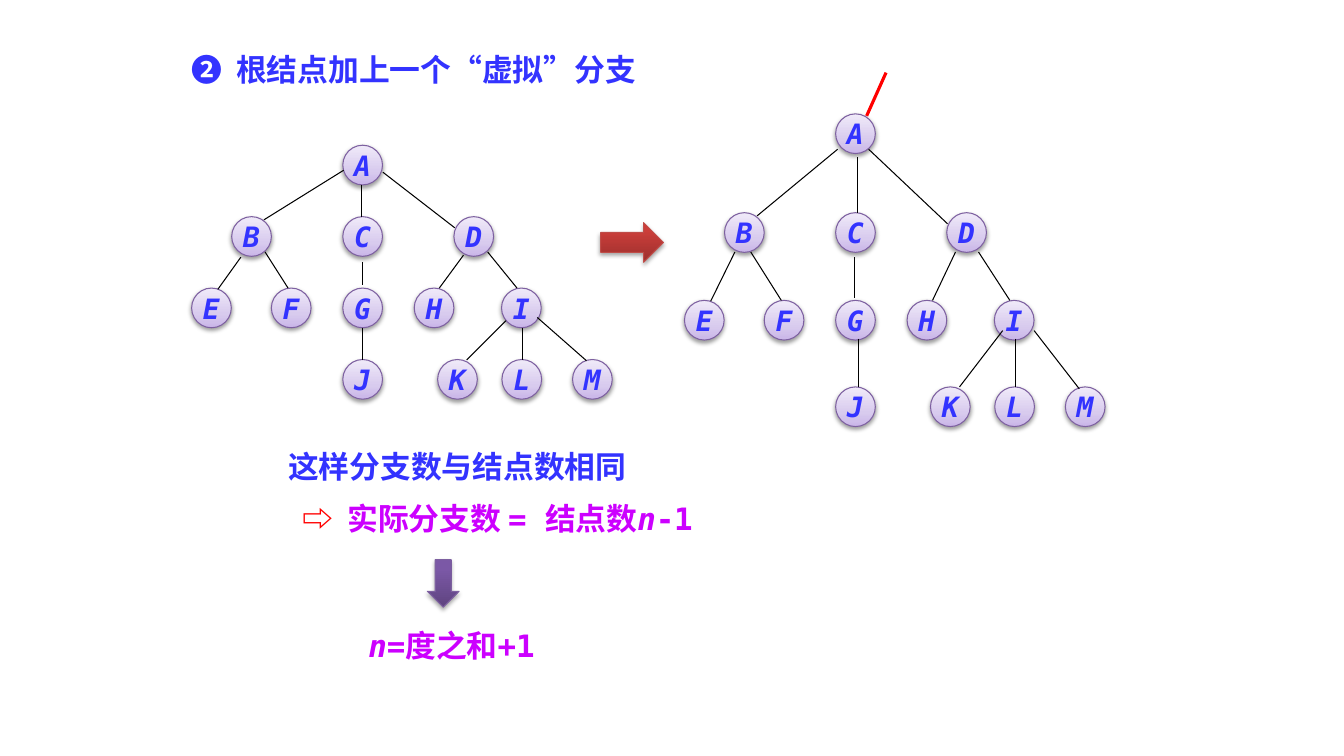
from dataclasses import dataclass

from pptx import Presentation
from pptx.dml.color import RGBColor
from pptx.enum.shapes import MSO_CONNECTOR, MSO_SHAPE
from pptx.enum.text import MSO_ANCHOR, MSO_AUTO_SIZE, PP_ALIGN
from pptx.oxml import parse_xml
from pptx.oxml.ns import nsdecls, qn
from pptx.oxml.xmlchemy import OxmlElement
from pptx.util import Cm, Pt


@dataclass(frozen=True)
class Theme:
    font: str = "DejaVu Sans Mono"
    text_size: int = 22
    node_size: int = 20
    blue: str = "3333FF"
    magenta: str = "CC00FF"
    red: str = "FF0000"
    black: str = "000000"
    purple_line: str = "7D60A0"
    red_line: str = "BF4C48"
    node_fill: tuple = ((0, "C9B5E8"), (35, "D8CBEE"), (100, "F0EAF9"))
    purple_fill: tuple = ((0, "5F4480"), (80, "7B58A6"), (100, "7C57A8"))
    red_fill: tuple = ((0, "9C2F2D"), (80, "CB3E3A"), (100, "CE3B37"))


THEME = Theme()
NODE = 1.0  # node diameter in cm

# Each node: level in the tree, horizontal offset from the root in cm
NODES = {
    "A": (0, 0), "B": (1, -2.8), "C": (1, 0), "D": (1, 2.8),
    "E": (2, -3.81), "F": (2, -1.8), "G": (2, 0), "J": (3, 0),
    "H": (2, 1.8), "I": (2, 4), "K": (3, 2.39), "L": (3, 4.01), "M": (3, 5.79),
}

# Branch ends in cm: from x, from y, to x, to y
PLAIN_BRANCHES = [
    (6.07, 6.48, 5.49, 7.29), (6.68, 6.35, 7.26, 7.26),
    (8.66, 4.29, 6.65, 5.54), (9.12, 4.67, 9.12, 5.46), (9.65, 4.34, 11.46, 5.74),
    (9.14, 6.6, 9.14, 7.19), (9.14, 8.26, 9.14, 9.07),
    (11.68, 6.43, 11.07, 7.26), (12.29, 6.35, 13.03, 7.26),
    (12.75, 8.08, 11.76, 9.07), (13.16, 8.26, 13.16, 9.07), (13.54, 8, 14.78, 9.09),
]
ROOTED_BRANCHES = [
    (18.52, 6.35, 17.91, 7.59), (18.92, 6.35, 19.69, 7.57),
    (21.11, 3.76, 19.08, 5.44), (21.62, 3.96, 21.62, 5.36), (21.89, 3.76, 23.88, 5.64),
    (21.54, 6.48, 21.54, 7.52), (21.64, 8.53, 21.64, 9.75),
    (24.08, 6.35, 23.5, 7.57), (24.66, 6.35, 25.45, 7.57),
    (25.27, 8.33, 24.18, 9.75), (25.6, 8.53, 25.6, 9.75), (26.06, 8.33, 27.2, 9.8),
]
VIRTUAL_BRANCH = (22.33, 1.83, 21.84, 2.92)


def add_span(para, text, color=THEME.blue, size=THEME.text_size, italic=False):
    span = para.add_run()
    span.text = text
    span.font.name = THEME.font
    span.font.size = Pt(size)
    span.font.bold = True
    span.font.italic = italic
    span.font.color.rgb = RGBColor.from_string(color)


def set_indent(para, left=0, first=0):
    """Set the hanging indent in cm and switch the bullet off."""
    properties = para._p.get_or_add_pPr()
    properties.set("marL", str(Cm(left)))
    properties.set("indent", str(Cm(first)))
    properties.append(OxmlElement("a:buNone"))


class SlideBuilder:
    def __init__(self, slide, theme):
        self.slide = slide
        self.theme = theme

    def text_box(self, box, left, top, width, height):
        """Place a placeholder or text box and return its first paragraph."""
        box.left, box.top, box.width, box.height = map(Cm, (left, top, width, height))
        frame = box.text_frame
        frame.word_wrap = True
        frame.auto_size = MSO_AUTO_SIZE.SHAPE_TO_FIT_TEXT
        frame.vertical_anchor = MSO_ANCHOR.TOP
        para = frame.paragraphs[0]
        para.alignment = PP_ALIGN.LEFT
        return para

    def shape(self, shapes, kind, left, top, width, height, stops, line, opacity):
        """Add a preset shape with a vertical gradient and a soft shadow."""
        shape = shapes.add_shape(kind, Cm(left), Cm(top), Cm(width), Cm(height))
        shape.fill.gradient()
        shape.fill.gradient_angle = 90
        stop_list = shape.element.spPr.find(".//" + qn("a:gsLst"))
        stop_list.clear()
        for position, color in stops:
            stop_list.append(parse_xml(
                f'<a:gs {nsdecls("a")} pos="{position * 1000}">'
                f'<a:srgbClr val="{color}"/></a:gs>'))
        shape.line.color.rgb = RGBColor.from_string(line)
        shape.line.width = Pt(0.75)
        shape.shadow.inherit = False
        shape.element.spPr.find(qn("a:effectLst")).append(parse_xml(
            f'<a:outerShdw {nsdecls("a")} blurRad="{Pt(3.1)}" dist="{Pt(1.7)}" '
            f'dir="5400000" rotWithShape="0"><a:srgbClr val="{self.theme.black}">'
            f'<a:alpha val="{opacity * 1000}"/></a:srgbClr></a:outerShdw>'))
        return shape

    def node(self, shapes, letter, left, top):
        node = self.shape(shapes, MSO_SHAPE.OVAL, left, top, NODE, NODE,
                          self.theme.node_fill, self.theme.purple_line, 38)
        frame = node.text_frame
        frame.word_wrap = False
        frame.vertical_anchor = MSO_ANCHOR.MIDDLE
        para = frame.paragraphs[0]
        para.alignment = PP_ALIGN.CENTER
        add_span(para, letter, size=self.theme.node_size, italic=True)

    def branch(self, shapes, ends, color=THEME.black, width=0.75):
        branch = shapes.add_connector(MSO_CONNECTOR.STRAIGHT, *map(Cm, ends))
        branch.line.color.rgb = RGBColor.from_string(color)
        branch.line.width = Pt(width)
        branch.element.spPr.append(OxmlElement("a:effectLst"))

    def tree(self, root_left, level_tops, branches):
        shapes = self.slide.shapes.add_group_shape().shapes
        for letter, (level, offset) in NODES.items():
            self.node(shapes, letter, root_left + offset, level_tops[level])
        for ends in branches:
            self.branch(shapes, ends)
        return shapes


def main():
    deck = Presentation()
    deck.slide_width, deck.slide_height = Cm(33.87), Cm(19.05)
    slide = deck.slides.add_slide(deck.slide_layouts[1])
    builder = SlideBuilder(slide, THEME)

    # Heading
    para = builder.text_box(slide.shapes.title, 4.57, 1.14, 12.9, 1.19)
    set_indent(para, 1.13, -1.13)
    add_span(para, "❷\t根结点加上一个“虚拟”分支")

    # Reasoning
    body = slide.placeholders[1]
    para = builder.text_box(body, 7.01, 11.15, 12.93, 2.62)
    para.space_before = Pt(11)
    set_indent(para)
    add_span(para, "这样分支数与结点数相同")
    para = body.text_frame.add_paragraph()
    para.space_before = Pt(11)
    set_indent(para, 1.49, -1.14)
    add_span(para, "⇨\t", color=THEME.red)
    add_span(para, "实际分支数 = 结点数", color=THEME.magenta)
    add_span(para, "n", color=THEME.magenta, italic=True)
    add_span(para, "-1", color=THEME.magenta)

    # Tree without and with the virtual branch
    builder.tree(8.64, [3.66 + 1.8 * level for level in range(4)], PLAIN_BRANCHES)
    rooted = builder.tree(21.06, [2.87, 5.36, 7.57, 9.75], ROOTED_BRANCHES)
    builder.branch(rooted, VIRTUAL_BRANCH, color=THEME.red, width=2.25)

    # Block arrows
    builder.shape(slide.shapes, MSO_SHAPE.RIGHT_ARROW, 15.14, 5.61, 1.58, 1,
                  THEME.red_fill, THEME.red_line, 35)
    builder.shape(slide.shapes, MSO_SHAPE.DOWN_ARROW, 10.77, 14.1, 0.8, 1.2,
                  THEME.purple_fill, THEME.purple_line, 35)

    # Conclusion
    box = slide.shapes.add_textbox(0, 0, 0, 0)
    para = builder.text_box(box, 8, 15.67, 6.76, 1.19)
    para.alignment = PP_ALIGN.CENTER
    add_span(para, "n", color=THEME.magenta, italic=True)
    add_span(para, "=度之和+1", color=THEME.magenta)

    deck.save("out.pptx")


if __name__ == "__main__":
    main()
